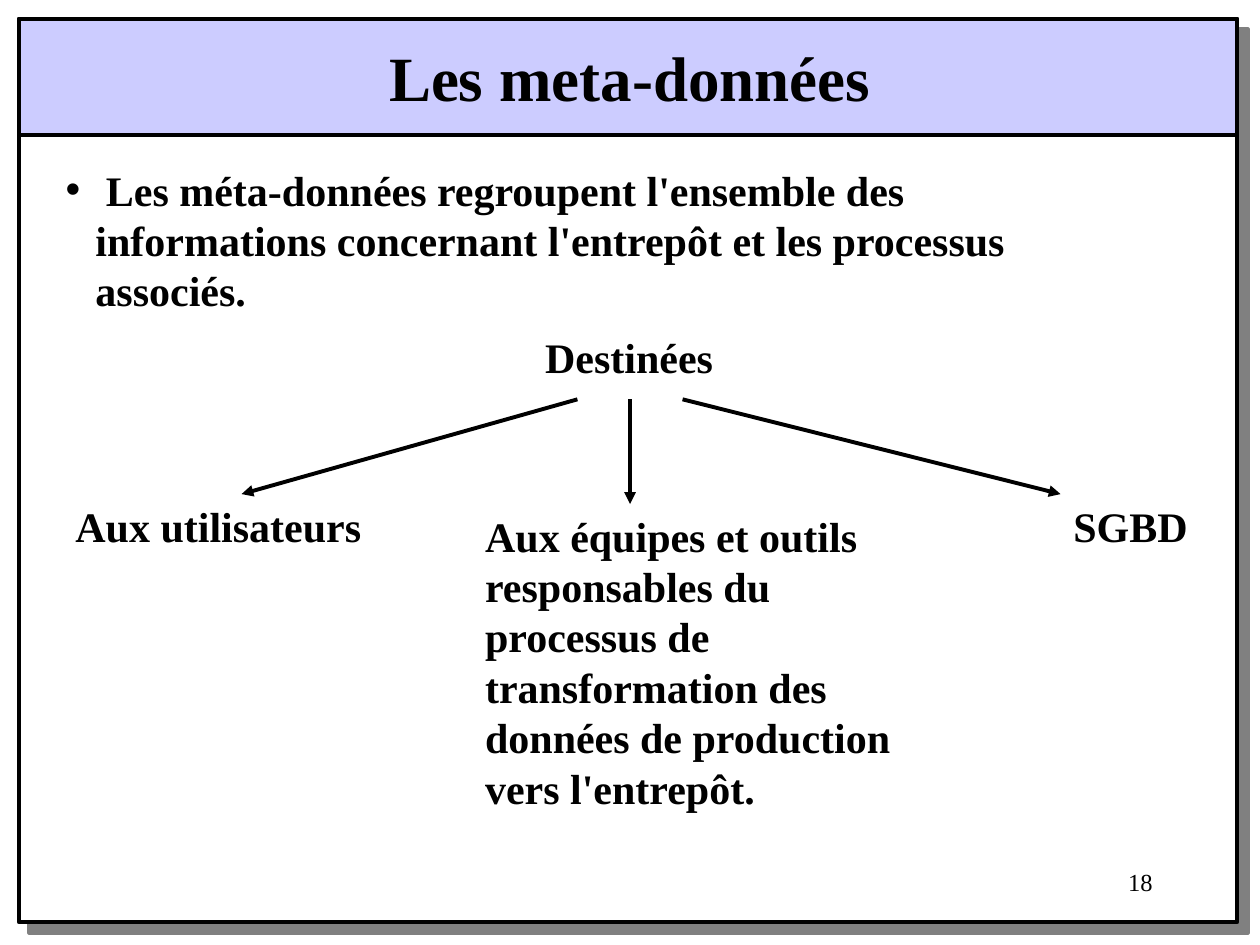
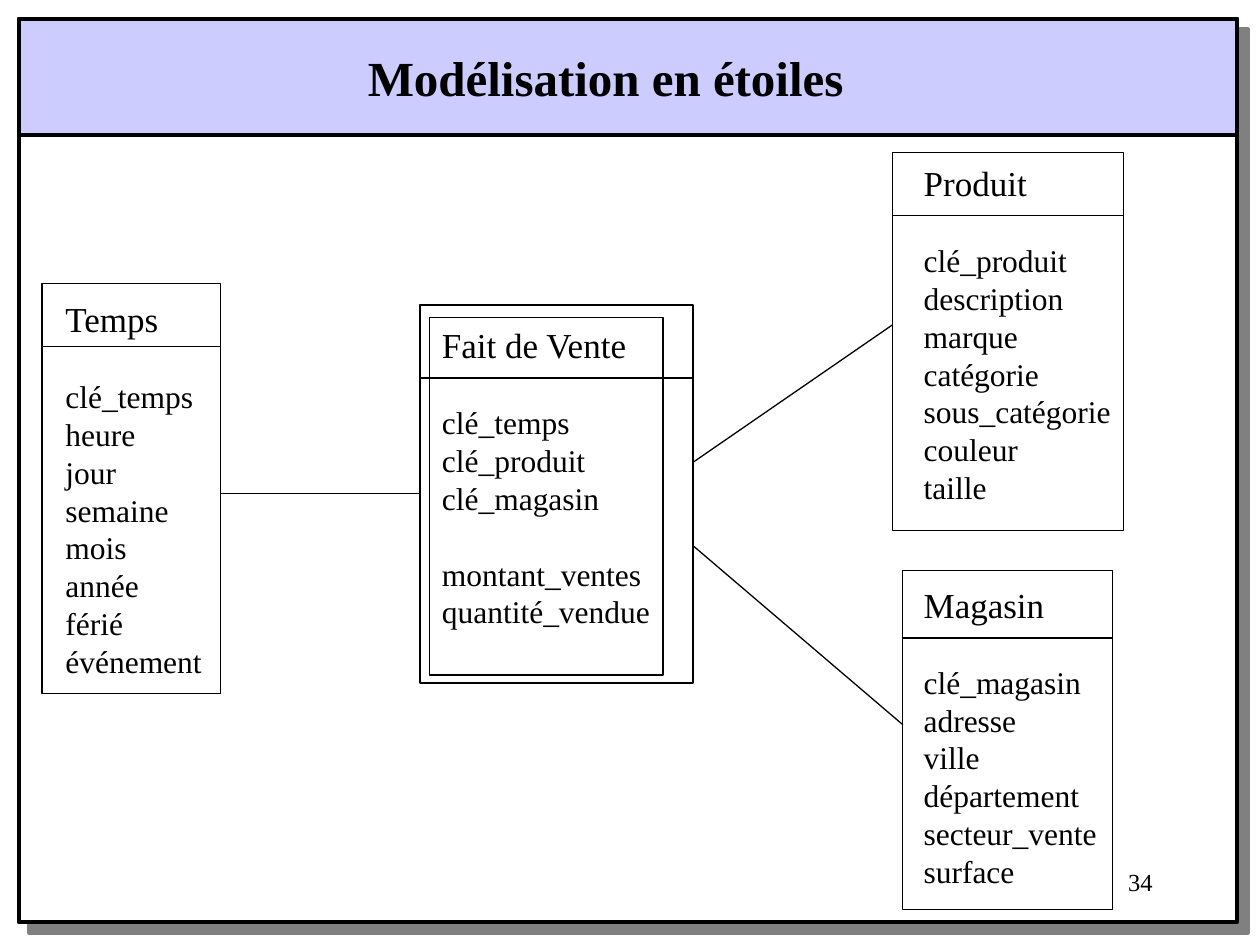
from dataclasses import dataclass
from typing import NamedTuple

from lxml.etree import SubElement
from pptx import Presentation
from pptx.dml.color import RGBColor as Rgb
from pptx.enum.shapes import MSO_CONNECTOR as Link, MSO_SHAPE as Kind
from pptx.enum.text import MSO_ANCHOR as Anchor, MSO_AUTO_SIZE as Fit, PP_ALIGN as Align
from pptx.oxml.ns import qn
from pptx.util import Cm, Pt


@dataclass(frozen=True)
class Theme:
    font: str = "Times New Roman"
    ink: Rgb = Rgb(0, 0, 0)
    paper: Rgb = Rgb(255, 255, 255)
    band: Rgb = Rgb(0xCC, 0xCC, 0xFF)
    shade: str = "808080"
    title: int = 36
    small_title: int = 28
    body: int = 24
    head: int = 20
    field: int = 18
    page: int = 14
    thick: float = 2.25
    medium: float = 1
    thin: float = 0.75
    leading: float = 1.2


THEME = Theme()


class Box(NamedTuple):
    """Left, top, width and height in centimetres."""
    x: float
    y: float
    w: float
    h: float


class Line(NamedTuple):
    """Start and end points in centimetres."""
    x1: float
    y1: float
    x2: float
    y2: float


class Label(NamedTuple):
    text: str
    box: Box
    wrap: bool = False


@dataclass(frozen=True)
class Entity:
    """A table of the star schema, its fields listed in groups."""
    name: str
    groups: list[list[str]]
    frame: Box
    rule: float
    area: Box
    weight: float = THEME.thin
    inner: bool = False


TITLE_1 = Box(7.59, 0.64, 12, 1.78)
TITLE_2 = Box(7.16, 0.84, 12, 1.45)
BODY = Box(1.07, 3.18, 22.2, 3.3)
PAGE = Box(18.21, 17.35, 5.28, 1.27)
PANEL = Box(0.38, 0.38, 24.56, 18.21)
BAND = Box(0.38, 0.38, 24.56, 2.34)

LABELS = [
    Label("Destinées", Box(10.74, 6.55, 3.89, 1.27)),
    Label("Aux utilisateurs", Box(1.27, 9.96, 6.27, 1.27)),
    Label("Aux équipes et outils responsables du processus de transformation "
          "des données de production vers l'entrepôt.",
          Box(9.53, 10.16, 8.89, 6.35), True),
    Label("SGBD", Box(21.39, 9.96, 2.82, 1.27)),
]
ARROWS = [
    Line(12.7, 8.05, 12.7, 10.16),
    Line(11.64, 8.05, 4.87, 9.96),
    Line(13.76, 8.05, 21.38, 9.96),
]
ENTITIES = [
    Entity("Temps",
           [["clé_temps", "heure", "jour", "semaine", "mois", "année",
             "férié", "événement"]],
           Box(0.85, 5.72, 3.6, 8.26), 6.99, Box(1.07, 5.87, 3.25, 7.98)),
    Entity("Fait de Vente",
           [["clé_temps", "clé_produit", "clé_magasin"],
            ["montant_ventes", "quantité_vendue"]],
           Box(8.47, 6.15, 5.5, 7.62), 7.62, Box(8.66, 6.4, 4.7, 7.21),
           THEME.medium, True),
    Entity("Magasin",
           [["clé_magasin", "adresse", "ville", "département",
             "secteur_vente", "surface"]],
           Box(18.2, 11.5, 4.23, 6.83), 12.86, Box(18.37, 11.63, 3.99, 7.21)),
    Entity("Produit",
           [["clé_produit", "description", "marque", "catégorie",
             "sous_catégorie", "couleur", "taille"]],
           Box(17.99, 3.07, 4.66, 7.62), 4.35, Box(18.37, 3.13, 4.27, 8.74)),
]
LINKS = [
    Line(4.45, 9.95, 8.47, 9.95),
    Line(13.97, 9.32, 17.99, 6.55),
    Line(13.97, 11, 18.2, 14.61),
]


def add_rect(slide, box: Box, weight: float, fill: Rgb | None = None):
    rect = slide.shapes.add_shape(Kind.RECTANGLE, *map(Cm, box))
    rect.shadow.inherit = False
    if fill is None:
        rect.fill.background()
    else:
        rect.fill.solid()
        rect.fill.fore_color.rgb = fill
    rect.line.color.rgb = THEME.ink
    rect.line.width = Pt(weight)
    return rect


def add_line(slide, line: Line, weight: float, arrow: bool = False):
    link = slide.shapes.add_connector(Link.STRAIGHT, *map(Cm, line))
    link.line.color.rgb = THEME.ink
    link.line.width = Pt(weight)
    if arrow:
        SubElement(link.element.spPr.find(qn("a:ln")), qn("a:tailEnd"),
                   type="triangle")
    SubElement(link.element.spPr, qn("a:effectLst"))
    return link


def write(para, text: str, size: int, bold: bool = False,
          gap: float = 0, align: Align = Align.LEFT) -> None:
    """Add one run to a paragraph and style both."""
    para.alignment = align
    para.line_spacing = Pt(size * THEME.leading)
    para.space_before = Pt(gap)
    run = para.add_run()
    run.text = text
    font = run.font
    font.name, font.size, font.bold = THEME.font, Pt(size), bold
    font.color.rgb = THEME.ink


def set_frame(shape, wrap: bool):
    """Prepare the text frame and return its first paragraph."""
    frame = shape.text_frame
    frame.auto_size = Fit.NONE
    frame.word_wrap = wrap
    frame.vertical_anchor = Anchor.TOP
    return frame.paragraphs[0]


def add_text(slide, label: Label, size: int, bold: bool = False,
             align: Align = Align.LEFT) -> None:
    shape = slide.shapes.add_textbox(*map(Cm, label.box))
    write(set_frame(shape, label.wrap), label.text, size, bold, align=align)


def fill_holder(holder, label: Label, size: int):
    """Move a placeholder, write its bold text and return the paragraph."""
    holder.left, holder.top, holder.width, holder.height = map(Cm, label.box)
    para = set_frame(holder, label.wrap)
    write(para, label.text, size, True)
    return para


def add_entity(slide, entity: Entity) -> None:
    shape = slide.shapes.add_textbox(*map(Cm, entity.area))
    if entity.inner:
        shape.line.color.rgb = THEME.ink
        shape.line.width = Pt(entity.weight)
    write(set_frame(shape, False), entity.name, THEME.head)
    for group in entity.groups:
        for i, field in enumerate(group):
            gap = 0 if i else THEME.field * THEME.leading
            write(shape.text_frame.add_paragraph(), field, THEME.field, gap=gap)
    box = entity.frame
    add_rect(slide, box, entity.weight)
    add_line(slide, Line(box.x, entity.rule, box.x + box.w, entity.rule),
             entity.weight)


def build_master(deck, slide) -> None:
    """Draw the shared panel and title band, then move them to the master."""
    panel = add_rect(slide, PANEL, THEME.thick, THEME.paper)
    effects = panel.element.spPr.find(qn("a:effectLst"))
    shadow = SubElement(effects, qn("a:outerShdw"), dist=str(Pt(8.5)),
                        dir="2700000", algn="ctr", rotWithShape="0")
    SubElement(shadow, qn("a:srgbClr"), val=THEME.shade)
    rule = add_line(slide, Line(0.41, 2.72, 24.89, 2.72), THEME.thick)
    band = add_rect(slide, BAND, THEME.thick, THEME.band)
    tree = deck.slide_master.shapes.element
    for i, part in enumerate((panel, rule, band)):
        part.element.xpath(".//p:cNvPr")[0].set("id", str(100 + i))
        tree.insert(2 + i, part.element)


def add_slide(deck, layout: int, title: Label, size: int, page: str):
    slide = deck.slides.add_slide(deck.slide_layouts[layout])
    fill_holder(slide.shapes.title, title, size)
    add_text(slide, Label(page, PAGE, True), THEME.page, align=Align.RIGHT)
    return slide


def build_meta(deck):
    slide = add_slide(deck, 1, Label("Les meta-données", TITLE_1, True),
                      THEME.title, "18")
    text = (" Les méta-données regroupent l'ensemble des informations "
            "concernant l'entrepôt et les processus associés.")
    para = fill_holder(slide.placeholders[1], Label(text, BODY, True), THEME.body)
    props = para._p.get_or_add_pPr()
    props.set("marL", str(Cm(0.6)))
    props.set("indent", str(-Cm(0.6)))
    for label in LABELS:
        add_text(slide, label, THEME.body, True)
    for arrow in ARROWS:
        add_line(slide, arrow, THEME.thick, True)
    return slide


def build_star(deck) -> None:
    slide = add_slide(deck, 5, Label("Modélisation en étoiles", TITLE_2, True),
                      THEME.small_title, "34")
    for entity in ENTITIES:
        add_entity(slide, entity)
    for link in LINKS:
        add_line(slide, link, THEME.thin)


def main() -> None:
    deck = Presentation()
    deck.slide_width, deck.slide_height = Cm(25.4), Cm(19.05)
    build_master(deck, build_meta(deck))
    build_star(deck)
    deck.save("out.pptx")


if __name__ == "__main__":
    main()
